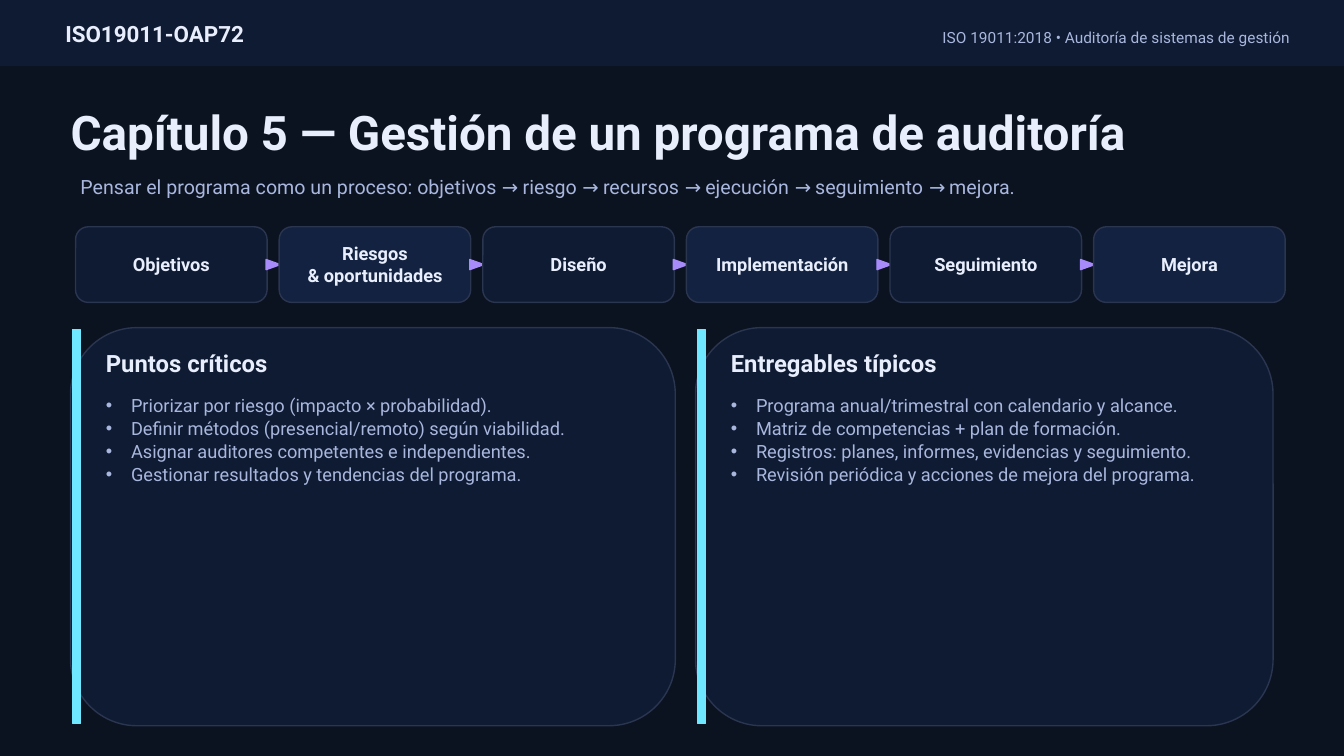
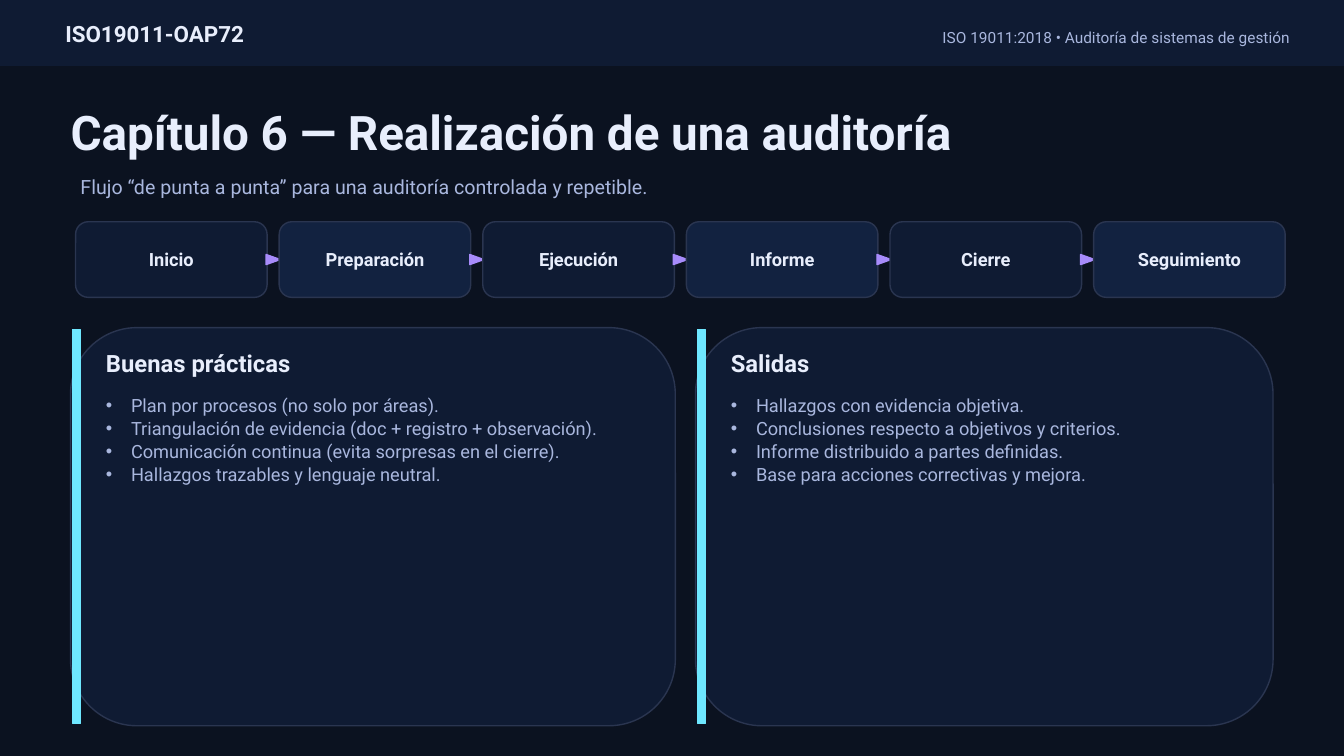
import pptx
import pptx.util
import pptx.dml.color
import pptx.enum.shapes
import pptx.enum.text
import pptx.oxml

RGB = pptx.dml.color.RGBColor
KIND = pptx.enum.shapes.MSO_SHAPE
ALIGN = pptx.enum.text.PP_ALIGN
ANCHOR = pptx.enum.text.MSO_ANCHOR

NIGHT = RGB(0x0B, 0x12, 0x20)
NAVY = RGB(0x0F, 0x1B, 0x33)
BLUE = RGB(0x12, 0x22, 0x40)
EDGE = RGB(0x2A, 0x35, 0x50)
WHITE = RGB(0xE8, 0xEE, 0xFC)
MIST = RGB(0xA9, 0xB7, 0xDE)
CYAN = RGB(0x6E, 0xE7, 0xFF)
VIOLET = RGB(0xA7, 0x8B, 0xFA)

FONT = "Roboto"
CELL = pptx.util.Inches(0.1)
COLS, ROWS = 133.33, 75
COMPARE = 4

DECK = [
    {
        "title": "Capítulo 5 — Gestión de un programa de auditoría",
        "lead": "Pensar el programa como un proceso: objetivos → riesgo → "
                "recursos → ejecución → seguimiento → mejora.",
        "top": 22.5,
        "steps": ["Objetivos", "Riesgos\n& oportunidades", "Diseño",
                  "Implementación", "Seguimiento", "Mejora"],
        "cards": [
            ("Puntos críticos", [
                "Priorizar por riesgo (impacto × probabilidad).",
                "Definir métodos (presencial/remoto) según viabilidad.",
                "Asignar auditores competentes e independientes.",
                "Gestionar resultados y tendencias del programa."]),
            ("Entregables típicos", [
                "Programa anual/trimestral con calendario y alcance.",
                "Matriz de competencias + plan de formación.",
                "Registros: planes, informes, evidencias y seguimiento.",
                "Revisión periódica y acciones de mejora del programa."]),
        ],
    },
    {
        "title": "Capítulo 6 — Realización de una auditoría",
        "lead": "Flujo “de punta a punta” para una auditoría controlada y repetible.",
        "top": 22,
        "steps": ["Inicio", "Preparación", "Ejecución",
                  "Informe", "Cierre", "Seguimiento"],
        "cards": [
            ("Buenas prácticas", [
                "Plan por procesos (no solo por áreas).",
                "Triangulación de evidencia (doc + registro + observación).",
                "Comunicación continua (evita sorpresas en el cierre).",
                "Hallazgos trazables y lenguaje neutral."]),
            ("Salidas", [
                "Hallazgos con evidencia objetiva.",
                "Conclusiones respecto a objetivos y criterios.",
                "Informe distribuido a partes definidas.",
                "Base para acciones correctivas y mejora."]),
        ],
    },
]


def cells(*spans):
    """Turn columns and rows of the grid into lengths."""
    return [round(span * CELL) for span in spans]


def draw(slide, kind, box, fill, line):
    """Add a flat preset shape."""
    shape = slide.shapes.add_shape(kind, *cells(*box))
    shape.shadow.inherit = False
    shape.fill.solid()
    shape.fill.fore_color.rgb = fill
    shape.line.color.rgb = line
    shape.line.width = pptx.util.Pt(1)
    return shape


def write(shape, text, size, color, bold=False, align=ALIGN.LEFT,
          anchor=ANCHOR.MIDDLE):
    """Fill a shape with text in the deck's style."""
    frame = shape.text_frame
    frame.text = text
    frame.word_wrap = True
    frame.auto_size = pptx.enum.text.MSO_AUTO_SIZE.NONE
    frame.vertical_anchor = anchor
    for para in frame.paragraphs:
        para.alignment = align
        para.space_before = pptx.util.Pt(0)
        para.font.name = FONT
        para.font.size = pptx.util.Pt(size)
        para.font.bold = bold
        para.font.color.rgb = color


def label(slide, box, *args, **style):
    """Add a text box."""
    write(slide.shapes.add_textbox(*cells(*box)), *args, **style)


def place(holder, box):
    """Move a placeholder to a box, in front of what is drawn so far."""
    holder.left, holder.top, holder.width, holder.height = cells(*box)
    node = holder.element
    node.getparent().append(node)


def bullet(para):
    """Give a paragraph a hanging bullet."""
    para.line_spacing = 1.05
    props = para._p.get_or_add_pPr()
    indent = pptx.util.Inches(0.25)
    props.set("marL", str(indent))
    props.set("indent", str(-indent))
    props.append(pptx.oxml.parse_xml(
        '<a:buChar xmlns:a="http://schemas.openxmlformats.org/'
        'drawingml/2006/main" char="•"/>'))


def header(slide):
    """Draw the top band with its two labels."""
    draw(slide, KIND.RECTANGLE, (0, 0, COLS, 6.5), NAVY, NAVY)
    label(slide, (5.5, 1.6, 55, 3.5), "ISO19011-OAP72", 16, WHITE, bold=True)
    label(slide, (61, 2, 68, 3.5),
          "ISO 19011:2018 • Auditoría de sistemas de gestión", 11, MIST,
          align=ALIGN.RIGHT)


def flow(slide, box, steps):
    """Draw equal steps across a box, with an arrow in each gap."""
    left, top, width, height = box
    gap = 1.2
    wide = (width - gap * (len(steps) - 1)) / len(steps)
    for num, step in enumerate(steps):
        x = left + num * (wide + gap)
        if num:
            tip = draw(slide, KIND.ISOSCELES_TRIANGLE,
                       (x - gap + 0.1, top + height / 2 - 0.7, 1, 1.4),
                       VIOLET, VIOLET)
            tip.rotation = 90
        tile = draw(slide, KIND.ROUNDED_RECTANGLE, (x, top, wide, height),
                    BLUE if num % 2 else NAVY, EDGE)
        write(tile, step, 13, WHITE, bold=True, align=ALIGN.CENTER)


def card(slide, box, head, body, name, items):
    """Draw a panel with an accent bar, a heading and a list."""
    left, top, width, height = box
    draw(slide, KIND.ROUNDED_RECTANGLE, box, NAVY, EDGE)
    draw(slide, KIND.RECTANGLE, (left + 0.2, top + 0.2, 0.8, height - 0.4),
         CYAN, CYAN)
    place(head, (left + 2.5, top + 1.8, width - 4, 3.5))
    write(head, name, 17, WHITE, bold=True)
    place(body, (left + 2.5, top + 6, width - 4.5, height - 8.5))
    write(body, "\n".join(items), 13, MIST, anchor=ANCHOR.TOP)
    for para in body.text_frame.paragraphs:
        bullet(para)


def chapter(deck, data):
    """Build one chapter slide."""
    slide = deck.slides.add_slide(deck.slide_layouts[COMPARE])
    title, *slots = slide.placeholders
    header(slide)
    place(title, (6, 9.5, 122, 7))
    write(title, data["title"], 34, WHITE, bold=True)
    label(slide, (7, 16.5, 120, 4), data["lead"], 14, MIST)
    flow(slide, (7.5, data["top"], 120, 7.5), data["steps"])
    boxes = [(7, 32.5, 60, 39.5), (69, 32.5, 57.3, 39.5)]
    for box, head, body, text in zip(boxes, slots[::2], slots[1::2],
                                     data["cards"]):
        card(slide, box, head, body, *text)


def main():
    """Build and save the deck."""
    deck = pptx.Presentation()
    deck.slide_width, deck.slide_height = cells(COLS, ROWS)
    back = deck.slide_master.background.fill
    back.solid()
    back.fore_color.rgb = NIGHT
    for data in DECK:
        chapter(deck, data)
    deck.save("out.pptx")


if __name__ == "__main__":
    main()
